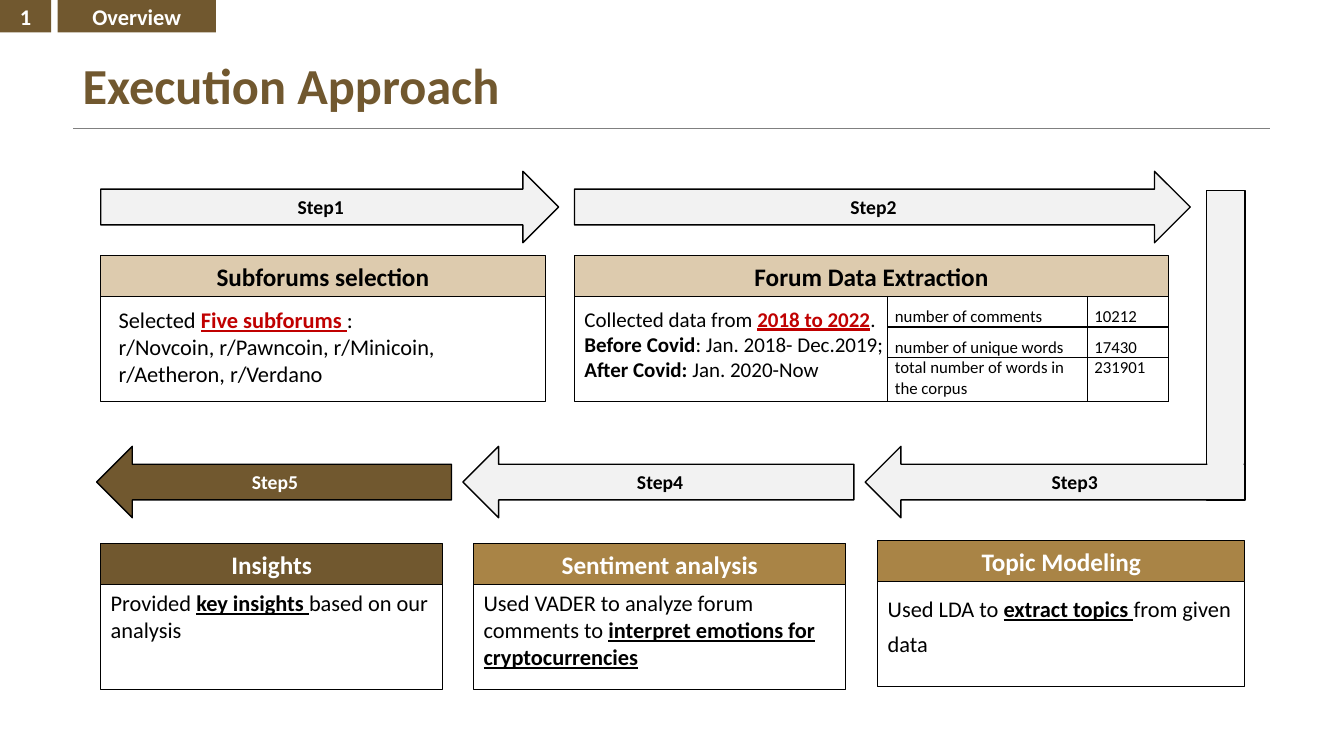
"""Build the Execution Approach slide: five step arrows, their cards and a table of counts."""
from lxml.etree import SubElement
from pptx import Presentation
from pptx.dml.color import RGBColor
from pptx.enum.shapes import MSO_CONNECTOR, MSO_SHAPE as SHAPE
from pptx.enum.text import MSO_ANCHOR as ANCHOR, PP_ALIGN as ALIGN
from pptx.oxml.ns import qn
from pptx.util import Inches, Pt

COLORS = {
    "brown": "71582F", "bronze": "A98446", "sand": "DDCBAE", "light": "F2F2F2",
    "black": "000000", "white": "FFFFFF", "red": "C00000", "gray": "808080",
}
COLUMNS = 160

presentation = Presentation()
presentation.slide_width = Inches(13.33)
presentation.slide_height = Inches(7.5)
slide = presentation.slides.add_slide(presentation.slide_layouts[6])
shapes = slide.shapes
unit = presentation.slide_width / COLUMNS


def add_box(kind, area, fill=None, line=None):
    left, top, width, height = (round(cells * unit) for cells in area)
    if kind is None:
        return shapes.add_textbox(left, top, width, height)
    shape = shapes.add_shape(kind, left, top, width, height)
    shape.shadow.inherit = False
    if fill:
        shape.fill.solid()
        shape.fill.fore_color.rgb = RGBColor.from_string(COLORS[fill])
    else:
        shape.fill.background()
    if line:
        shape.line.width = Pt(line)
        shape.line.color.rgb = RGBColor.from_string(COLORS["black"])
    else:
        shape.line.fill.background()
    return shape


def write(frame, paragraphs, size, color="black", align=ALIGN.LEFT, anchor=ANCHOR.TOP, spacing=None):
    frame.word_wrap = True
    frame.vertical_anchor = anchor
    for index, runs in enumerate(paragraphs):
        paragraph = frame.add_paragraph() if index else frame.paragraphs[0]
        paragraph.alignment = align
        if spacing:
            paragraph.line_spacing = spacing
        for text, style in runs:
            run = paragraph.add_run()
            run.text = text
            run.font.name = "Calibri"
            run.font.size = Pt(size)
            run.font.bold = style != "plain"
            run.font.underline = style in ("key", "red")
            run.font.color.rgb = RGBColor.from_string(COLORS["red" if style == "red" else color])


rule = shapes.add_connector(
    MSO_CONNECTOR.STRAIGHT, *(round(cells * unit) for cells in (8.75, 15.25, 151.2, 15.25)))
rule.line.width = Pt(0.25)
rule.line.color.rgb = RGBColor.from_string(COLORS["gray"])
SubElement(rule._element.spPr, qn("a:effectLst"))

for text, left, width in (("1", 0, 6.1), ("Overview", 6.85, 18.85)):
    tab = add_box(SHAPE.RECTANGLE, (left, 0, width, 3.85), "brown")
    write(tab.text_frame, [[(text, "bold")]], 16, "white", ALIGN.CENTER, ANCHOR.MIDDLE)

title = add_box(None, (8.65, 5.9, 80, 8.5))
write(title.text_frame, [[("Execution Approach", "bold")]], 36, "brown")

for text, left, width in (("Step1", 12, 54.5), ("Step2", 68.4, 73.3)):
    arrow = add_box(SHAPE.RIGHT_ARROW, (left, 20.4, width, 8.5), "light", 1)
    write(arrow.text_frame, [[(text, "bold")]], 14, "black", ALIGN.CENTER, ANCHOR.MIDDLE)

add_box(SHAPE.RECTANGLE, (143.65, 22.7, 4.55, 36.85), "light", 1)
return_arrows = (
    ("Step3", 103, 45.2, 124, "light", "black"),
    ("Step4", 55.1, 46.55, 74.65, "light", "black"),
    ("Step5", 11.5, 42.25, 28.8, "brown", "white"),
)
for text, left, width, label_left, fill, color in return_arrows:
    arrow = add_box(SHAPE.RIGHT_ARROW, (left, 53.15, width, 8.5), fill, 1)
    arrow.rotation = 180
    label = add_box(None, (label_left, 55.35, 10.9, 4.1))
    write(label.text_frame, [[(text, "bold")]], 14, color)
add_box(SHAPE.RECTANGLE, (143.75, 49.8, 4.3, 9.5), "light")

cards = (
    ("Subforums selection", 12, 30.4, 52.9, "sand", "black", None, []),
    ("Forum Data Extraction", 68.4, 30.4, 70.7, "sand", "black", None, []),
    ("Topic Modeling", 104.5, 64.4, 43.7, "bronze", "white", 1.3,
     [("Used LDA to ", "plain"), ("extract topics ", "key"), ("from given data", "plain")]),
    ("Sentiment analysis", 56.4, 64.7, 44.3, "bronze", "white", None,
     [("Used VADER to analyze forum comments to ", "plain"),
      ("interpret emotions for cryptocurrencies", "key")]),
    ("Insights", 12, 64.7, 40.7, "brown", "white", None,
     [("Provided ", "plain"), ("key insights ", "key"), ("based on our analysis", "plain")]),
)
for heading, left, top, width, fill, color, spacing, runs in cards:
    body = add_box(SHAPE.RECTANGLE, (left, top + 4.9, width, 12.5), None, 0.75)
    if runs:
        write(body.text_frame, [runs], 16, spacing=spacing)
    header = add_box(SHAPE.RECTANGLE, (left, top, width, 4.9), fill, 0.75)
    write(header.text_frame, [[(heading, "bold")]], 18, color, ALIGN.CENTER, ANCHOR.BOTTOM)

selection = add_box(None, (12.95, 35.9, 52, 10.9))
write(selection.text_frame, [
    [("Selected ", "plain"), ("Five subforums ", "red"), (":", "plain")],
    [("r/Novcoin, r/Pawncoin, r/Minicoin, r/Aetheron, r/Verdano", "plain")],
], 16)
extraction = add_box(None, (68.4, 35.9, 38.5, 10.3))
write(extraction.text_frame, [
    [("Collected data from ", "plain"), ("2018 to 2022", "red"), (".", "plain")],
    [("Before Covid", "bold"), (": Jan. 2018- Dec.2019;", "plain")],
    [("After Covid: ", "bold"), ("Jan. 2020-Now", "plain")],
], 15)

counts = (
    ("number of comments", "10212", 3.65, 1.5),
    ("number of unique words", "17430", 3.65, 1.5),
    ("total number of words in the corpus", "231901", 5.25, None),
)
table_area = (round(cells * unit) for cells in (105.7, 35.3, 33.45, 12.55))
table = shapes.add_table(len(counts), 2, *table_area).table
table.first_row = table.horz_banding = False
for column, width in zip(table.columns, (23.75, 9.7)):
    column.width = round(width * unit)
for row, (name, count, height, spacing) in zip(table.rows, counts):
    row.height = round(height * unit)
    for cell, text in zip(row.cells, (name, count)):
        cell.margin_left = cell.margin_right = Inches(0.07)
        cell.margin_top = cell.margin_bottom = 0
        write(cell.text_frame, [[(text, "plain")]], 12, spacing=spacing)
        properties = cell._tc.get_or_add_tcPr()
        for side in ("a:lnL", "a:lnR", "a:lnT", "a:lnB"):
            border = SubElement(properties, qn(side), w=str(Pt(1)))
            SubElement(SubElement(border, qn("a:solidFill")), qn("a:srgbClr"), val=COLORS["black"])
        cell.fill.solid()
        cell.fill.fore_color.rgb = RGBColor.from_string(COLORS["white"])

presentation.save("out.pptx")
